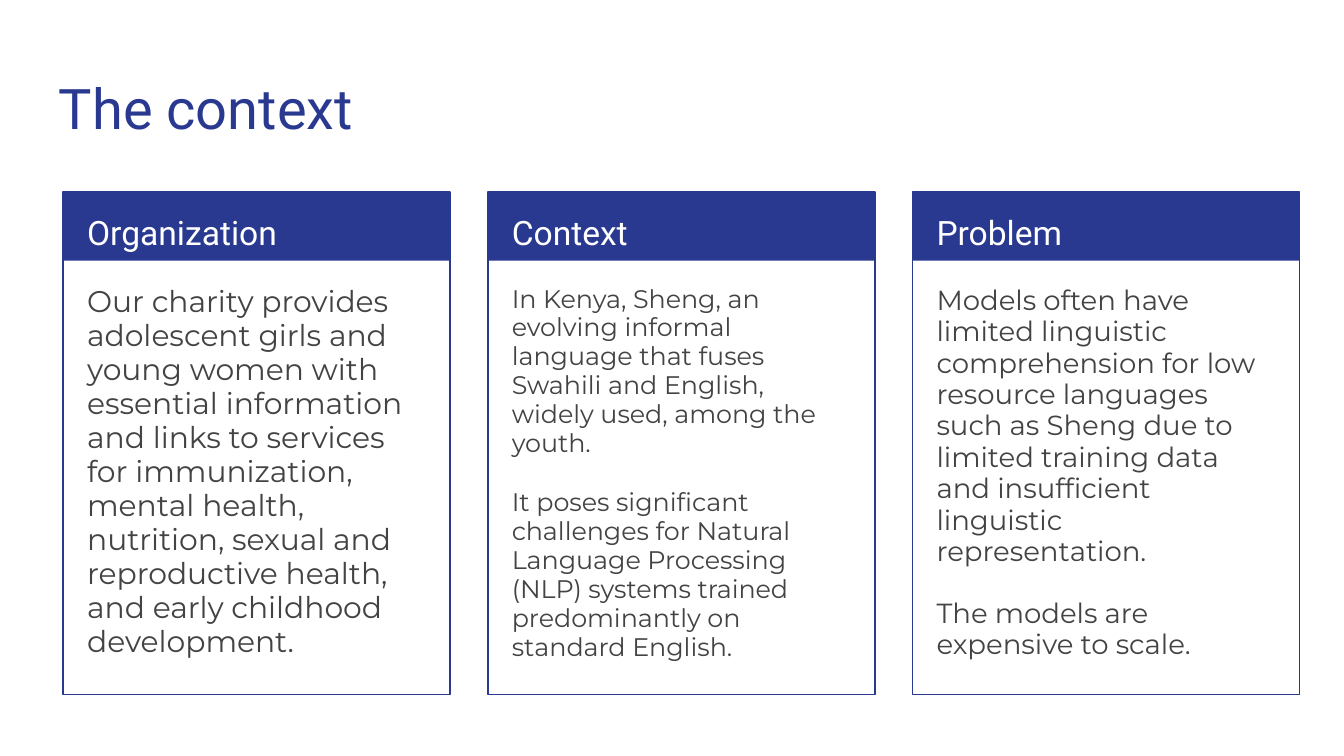
from dataclasses import dataclass

from pptx import Presentation
from pptx import util as u
from pptx.dml.color import RGBColor
from pptx.enum import shapes, text

HUES = {"navy": "2A3990", "grey": "434343", "white": "FFFFFF"}
WIDE = 10
HIGH = WIDE * 9 / 16

# Card grid: three equal columns
LEFT, TOP, STEP = 0.47, 1.43, 3.16
CARD_W, CARD_H, HEAD_H = 2.88, 3.74, 0.51


@dataclass
class Style:
    font: str
    size: float
    hue: str
    lead: float = 1.0
    gap: float = 0


@dataclass
class Card:
    head: str
    size: float
    paras: list[str]


CARDS = [
    Card("Organization", 16, [
        "Our charity provides adolescent girls and young women with essential "
        "information and links to services for immunization, mental health, "
        "nutrition, sexual and reproductive health, and early childhood "
        "development."]),
    Card("Context", 13.6, [
        "In Kenya, Sheng, an evolving informal language that fuses Swahili and "
        "English, widely used, among the youth.",
        "It poses significant challenges for Natural Language Processing (NLP) "
        "systems trained predominantly on standard English."]),
    Card("Problem", 14.8, [
        "Models often have limited linguistic comprehension for low resource "
        "languages such as Sheng due to limited training data and insufficient "
        "linguistic representation.",
        "The models are expensive to scale."]),
]


def color(name: str) -> RGBColor:
    return RGBColor.from_string(HUES[name])


def inches(*sizes: float) -> list[int]:
    return [u.Inches(size) for size in sizes]


def add_text(slide, box: tuple, paras: list[str], style: Style) -> None:
    frame = slide.shapes.add_textbox(*inches(*box)).text_frame
    pad = u.Inches(0.1)
    setup = {"word_wrap": True, "vertical_anchor": text.MSO_ANCHOR.TOP,
             "margin_left": pad, "margin_right": pad,
             "margin_top": pad, "margin_bottom": pad}
    for key, value in setup.items():
        setattr(frame, key, value)
    for i, words in enumerate(paras):
        para = frame.paragraphs[0] if i == 0 else frame.add_paragraph()
        para.line_spacing = style.lead
        if i:
            para.space_before = u.Pt(style.gap)
        run = para.add_run()
        run.text = words
        for key, value in {"name": style.font, "size": u.Pt(style.size)}.items():
            setattr(run.font, key, value)
        run.font.color.rgb = color(style.hue)


def add_rect(slide, box: tuple, filled: bool) -> None:
    rect = slide.shapes.add_shape(shapes.MSO_SHAPE.RECTANGLE, *inches(*box))
    rect.shadow.inherit = False
    if filled:
        rect.fill.solid()
        rect.fill.fore_color.rgb = color("navy")
        rect.line.fill.background()
    else:
        rect.fill.background()
        rect.line.color.rgb = color("navy")
        rect.line.width = u.Pt(0.75)


def add_card(slide, col: int, card: Card) -> None:
    left = LEFT + col * STEP
    add_rect(slide, (left, TOP, CARD_W, HEAD_H), True)
    add_rect(slide, (left, TOP, CARD_W, CARD_H), False)
    add_text(slide, (left + 0.08, TOP, 2.73, 0.5), [card.head],
             Style("Roboto", 18, "white", 1.15))
    add_text(slide, (left + 0.08, TOP + 0.59, 2.71, 3.06), card.paras,
             Style("Montserrat", card.size, "grey", 0.95, 16))


def main() -> None:
    deck = Presentation()
    deck.slide_width, deck.slide_height = inches(WIDE, HIGH)
    slide = deck.slides.add_slide(deck.slide_layouts[6])

    # Title
    add_text(slide, (0.034 * WIDE, 0.08 * HIGH, 0.932 * WIDE, 0.66),
             ["The context"], Style("Roboto", 30, "navy"))

    # Cards
    for col, card in enumerate(CARDS):
        add_card(slide, col, card)

    deck.save("out.pptx")


if __name__ == "__main__":
    main()
